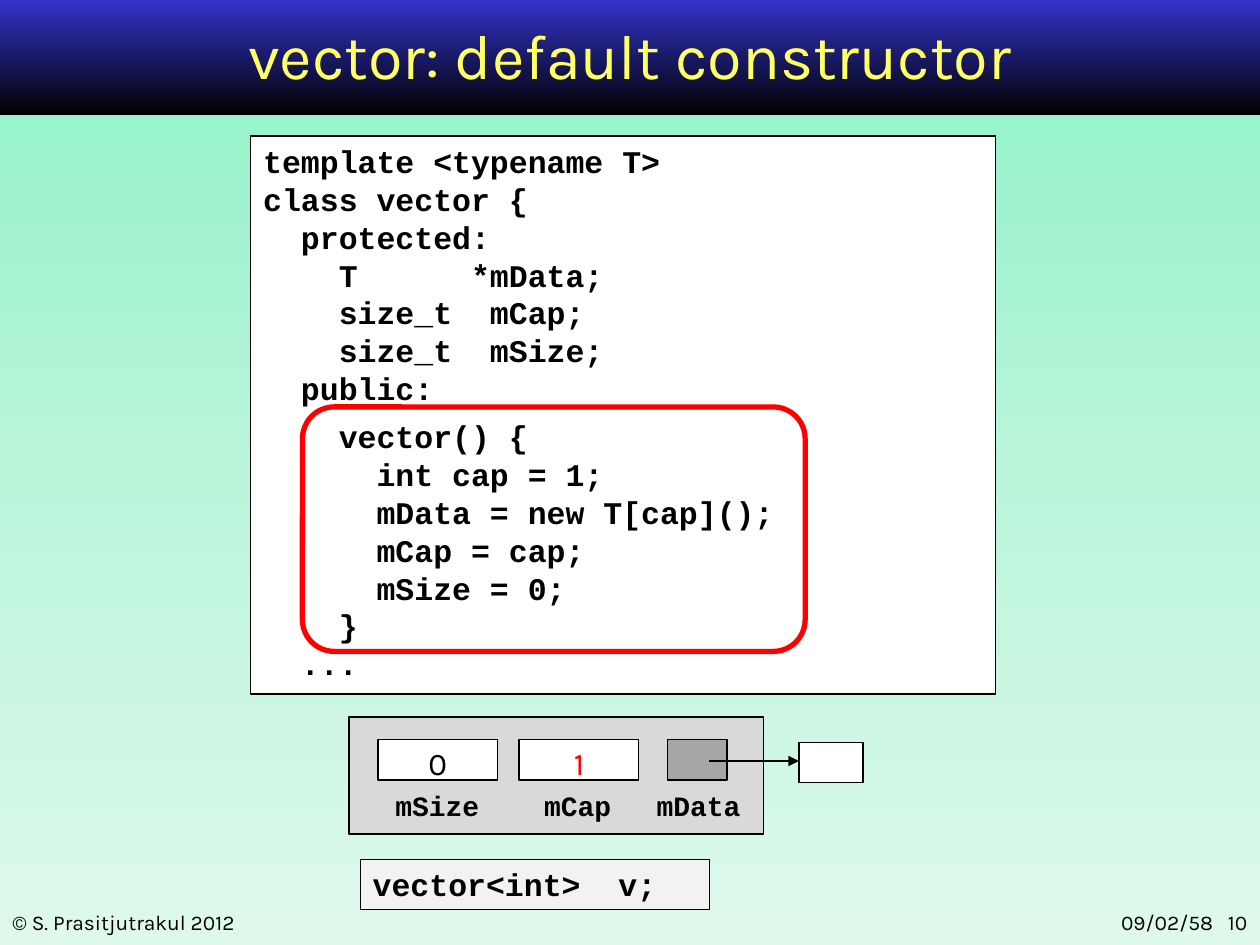
import copy

import pptx
import pptx.dml.color
import pptx.enum.shapes
import pptx.enum.text
import pptx.oxml.ns
import pptx.util
from lxml import etree
from pptx.util import Inches

COLORS = {
    "mint": "8CF2C6", "light mint": "BAF5DA", "pale mint": "DEF9EC",
    "blue": "3333CC", "black": "000000", "yellow": "FFFF66", "white": "FFFFFF",
    "object": "D9D9D9", "pointer": "A6A6A6", "statement": "F2F2F2", "red": "FF0000",
}
CODE_FONT, TEXT_FONT = "Courier New", "Karla"
ALIGN = pptx.enum.text.PP_ALIGN
ANCHOR = pptx.enum.text.MSO_ANCHOR
SHAPE = pptx.enum.shapes.MSO_SHAPE


def rgb(name):
    return pptx.dml.color.RGBColor.from_string(COLORS[name])


def add_block(text, left, top, width, height, *, shape=None, fill=None, line="black",
              line_width=0.75, font=TEXT_FONT, size=18, color="black", bold=False,
              align=ALIGN.LEFT, anchor=ANCHOR.TOP, label=False):
    """Add a text box, or a preset shape if one is given; a label has no insets."""
    box = [Inches(value) for value in (left, top, width, height)]
    if shape is None:
        block = slide.shapes.add_textbox(*box)
    else:
        block = slide.shapes.add_shape(shape, *box)
        block.shadow.inherit = False
        if fill:
            block.fill.solid()
            block.fill.fore_color.rgb = rgb(fill)
        else:
            block.fill.background()
        block.line.color.rgb = rgb(line)
        block.line.width = pptx.util.Pt(line_width)
    if not text:
        return block
    frame = block.text_frame
    frame.word_wrap = True
    frame.vertical_anchor = anchor
    if label:
        frame.margin_left = frame.margin_right = frame.margin_top = frame.margin_bottom = 0
    frame.text = text
    for paragraph in frame.paragraphs:
        paragraph.alignment = align
        if label:
            paragraph.line_spacing = 1.15
            paragraph.space_after = pptx.util.Pt(10)
        for run in paragraph.runs:
            run.font.name = font
            run.font.size = pptx.util.Pt(size)
            run.font.bold = bold
            run.font.color.rgb = rgb(color)
    return block


presentation = pptx.Presentation()
presentation.slide_width, presentation.slide_height = Inches(10), Inches(7.5)
slide = presentation.slides.add_slide(presentation.slide_layouts[6])

# Background and title band
backdrop = slide.background.fill
backdrop.gradient()
backdrop.gradient_angle = 270
first_stop = slide.element.xpath(".//p:bg//a:gs")[0]
middle_stop = copy.deepcopy(first_stop)
middle_stop.set("pos", "50000")
first_stop.addnext(middle_stop)
for stop, name in zip(backdrop.gradient_stops, ("mint", "light mint", "pale mint")):
    stop.color.rgb = rgb(name)

band = add_block("", 0, 0, 10, 0.91, shape=SHAPE.RECTANGLE)
band.line.fill.background()
band.fill.gradient()
band.fill.gradient_angle = 270
for stop, name in zip(band.fill.gradient_stops, ("blue", "black")):
    stop.color.rgb = rgb(name)

add_block("© S. Prasitjutrakul 2012", 0, 7.17, 3.25, 0.3, size=12)
add_block("09/02/58   10", 7.83, 7.17, 2.17, 0.3, size=12, align=ALIGN.RIGHT)
add_block("vector: default constructor", 0.75, 0.02, 8.5, 0.83, size=36,
          color="yellow", align=ALIGN.CENTER, anchor=ANCHOR.MIDDLE)

# Class listing
CODE = """template <typename T>
class vector {
  protected:
    T      *mData;
    size_t  mCap;
    size_t  mSize;
  public:
    vector() {
      int cap = 1;
      mData = new T[cap]();
      mCap = cap;
      mSize = 0;
    }
  ..."""
listing = add_block(CODE, 1.99, 1.08, 5.91, 4.43, shape=SHAPE.RECTANGLE, fill="white",
                    font=CODE_FONT, bold=True)
constructor_line = CODE.splitlines().index("    vector() {")
listing.text_frame.paragraphs[constructor_line].space_before = pptx.util.Pt(6)

# Vector object in memory
add_block("", 2.77, 5.69, 3.29, 0.93, shape=SHAPE.RECTANGLE, fill="object")
fields = [  # name, label left and width, cell left and width, value, value colour, fill
    ("mSize", 2.89, 1.16, 3.00, 0.95, "0", "black", "white"),
    ("mCap", 4.15, 0.87, 4.12, 0.95, "1", "red", "white"),
    ("mData", 5.11, 0.87, 5.30, 0.47, "", "black", "pointer"),
]
for name, label_left, label_width, left, width, value, color, fill in fields:
    add_block(value, left, 5.87, width, 0.32, shape=SHAPE.RECTANGLE, fill=fill,
              color=color, align=ALIGN.CENTER, anchor=ANCHOR.MIDDLE, label=True)
    add_block(name, label_left, 6.21, label_width, 0.33, font=CODE_FONT, size=16,
              bold=True, align=ALIGN.CENTER, anchor=ANCHOR.MIDDLE, label=True)

add_block("", 6.34, 5.89, 0.51, 0.32, shape=SHAPE.RECTANGLE, fill="white")
arrow = slide.shapes.add_connector(pptx.enum.shapes.MSO_CONNECTOR.STRAIGHT,
                                   Inches(5.63), Inches(6.04), Inches(6.34), Inches(6.04))
arrow.line.color.rgb = rgb("black")
arrow.line.width = pptx.util.Pt(0.75)
etree.SubElement(arrow.line._get_or_add_ln(), pptx.oxml.ns.qn("a:tailEnd"), type="triangle")
etree.SubElement(arrow.element.spPr, pptx.oxml.ns.qn("a:effectLst"))

# Declaration and constructor highlight
add_block("vector<int>  v;", 2.86, 6.82, 2.77, 0.4, shape=SHAPE.RECTANGLE,
          fill="statement", font=CODE_FONT, bold=True)
highlight = add_block("", 2.4, 3.23, 3.99, 1.94, shape=SHAPE.ROUNDED_RECTANGLE,
                      line="red", line_width=3)
highlight.adjustments[0] = 0.13

presentation.save("out.pptx")
